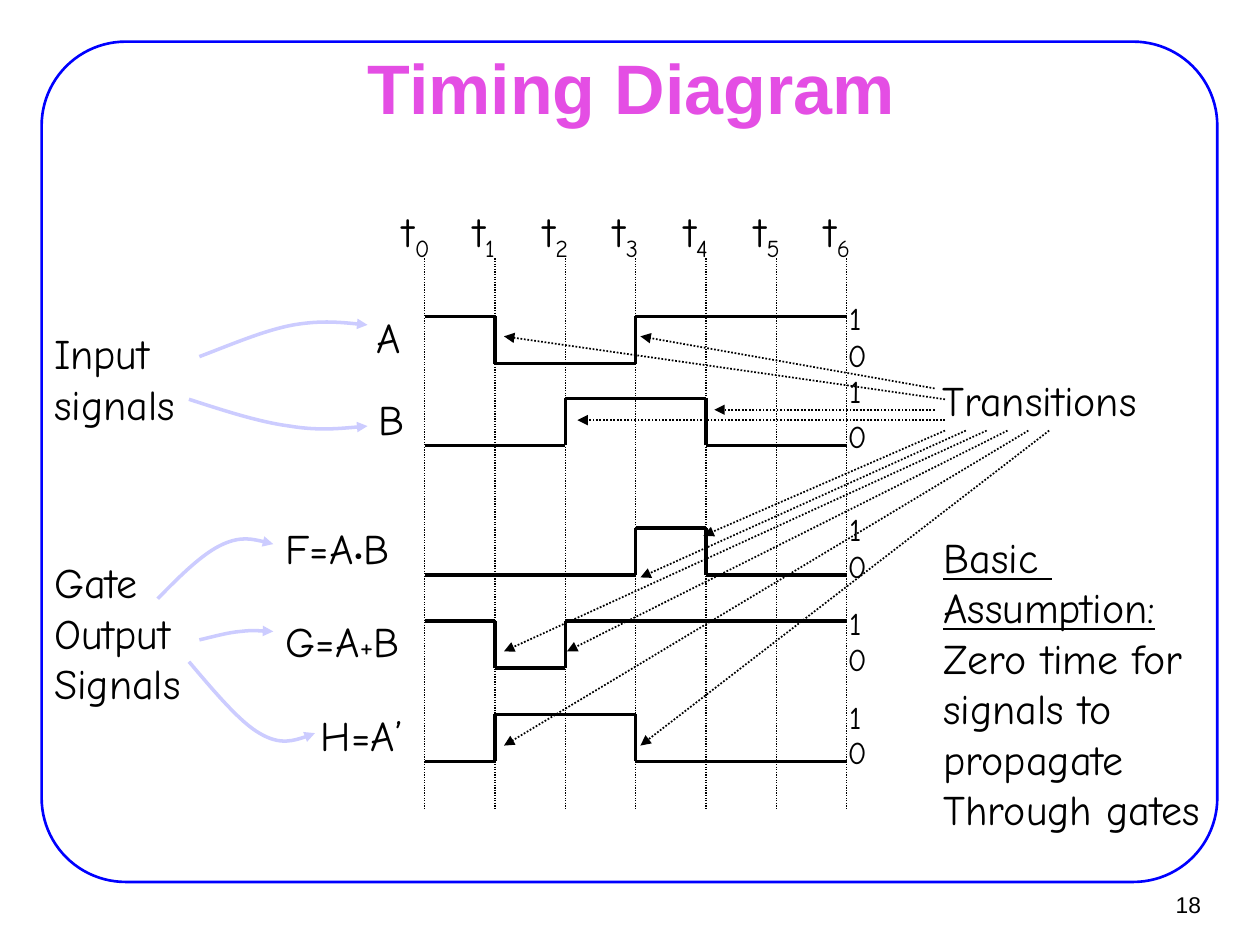
import pptx
import pptx.util
import pptx.dml.color
import pptx.enum.dml
import pptx.enum.shapes
import pptx.enum.text
import pptx.oxml
import pptx.oxml.ns
from lxml import etree

Cm = pptx.util.Cm
Pt = pptx.util.Pt
RGBColor = pptx.dml.color.RGBColor
PP_ALIGN = pptx.enum.text.PP_ALIGN
MSO_ANCHOR = pptx.enum.text.MSO_ANCHOR
qn = pptx.oxml.ns.qn

BLACK = RGBColor(0x00, 0x00, 0x00)
BLUE = RGBColor(0x00, 0x00, 0xFF)
PINK = RGBColor(0xE4, 0x4E, 0xE4)
LAVENDER = RGBColor(0xCC, 0xCC, 0xFF)
HAND = "Comic Neue"
SANS = "Arial"


def style_runs(p, size=24, font=HAND, color=BLACK):
    for r in p.runs:
        r.font.size = Pt(size)
        r.font.name = font
        r.font.color.rgb = color


def add_text(s, x, y, w, h, text, size=24, wrap=False, font=HAND, color=BLACK):
    sp = s.shapes.add_textbox(Cm(x), Cm(y), Cm(w), Cm(h))
    tf = sp.text_frame
    tf.word_wrap = wrap
    tf.text = text
    for p in tf.paragraphs:
        style_runs(p, size, font, color)
    return tf


def add_arrowhead(sp):
    ln = sp.line._get_or_add_ln()
    etree.SubElement(ln, qn("a:tailEnd"), type="triangle")


def add_line(s, x1, y1, x2, y2, width, dotted=False, arrow=False):
    sp = s.shapes.add_connector(pptx.enum.shapes.MSO_CONNECTOR.STRAIGHT,
                                Cm(x1), Cm(y1), Cm(x2), Cm(y2))
    sp.line.color.rgb = BLACK
    sp.line.width = Pt(width)
    if dotted:
        sp.line.dash_style = pptx.enum.dml.MSO_LINE.ROUND_DOT
    if arrow:
        add_arrowhead(sp)
    etree.SubElement(sp._element.spPr, qn("a:effectLst"))


def add_curve(s, x, y, points):
    points = [(Cm(x + px), Cm(y + py)) for px, py in points]
    builder = s.shapes.build_freeform(*points[0])
    builder.add_line_segments(points[1:], close=False)
    sp = builder.convert_to_shape()
    path = sp._element.find(".//" + qn("a:path"))
    segments = path.findall(qn("a:lnTo"))
    for i in range(0, len(segments), 3):
        bezier = etree.SubElement(path, qn("a:cubicBezTo"))
        for segment in segments[i:i + 3]:
            bezier.append(segment[0])
            path.remove(segment)
    sp.fill.background()
    sp.line.color.rgb = LAVENDER
    sp.line.width = Pt(2)
    sp.shadow.inherit = False
    add_arrowhead(sp)


def add_frame(s, x, y, w, h):
    sp = s.shapes.add_shape(pptx.enum.shapes.MSO_SHAPE.ROUNDED_RECTANGLE,
                            Cm(x), Cm(y), Cm(w), Cm(h))
    sp.adjustments[0] = 0.1
    sp.fill.background()
    sp.line.color.rgb = BLUE
    sp.line.width = Pt(1.5)
    sp.shadow.inherit = False
    tf = add_text(s, x + 22.07, y + 16.92, 1.55, 0.94, "18", 13, font=SANS)
    tf.vertical_anchor = MSO_ANCHOR.MIDDLE
    tf.paragraphs[0].alignment = PP_ALIGN.RIGHT


def add_title(s, x, y, w, h):
    tf = add_text(s, x, y, w, h, "Timing Diagram", 40, True, SANS, PINK)
    tf.vertical_anchor = MSO_ANCHOR.MIDDLE
    p = tf.paragraphs[0]
    p.alignment = PP_ALIGN.CENTER
    p.runs[0].font.bold = True


def add_signal(s, x, y, w, swing, bits):
    step = w / len(bits)
    levels = [y if bit == "1" else y + swing for bit in bits]
    for i, level in enumerate(levels):
        left = x + i * step
        add_line(s, left, level, left + step, level, 2)
        if i and level != levels[i - 1]:
            add_line(s, left, y + swing, left, y, 2)


def add_timing_diagram(s, x, y, w, h):
    swing = 0.95
    step = w / 6
    for i in range(7):
        left = x + i * step
        add_line(s, left, y, left, y + h, 0.75, dotted=True)
        p = add_text(s, left - 0.69, y - 1.2, 1.24, 1.27, "t").paragraphs[0]
        p.add_run().text = str(i)
        style_runs(p)
        p.runs[1].font._element.set("baseline", "-25000")
    signals = [
        (["A"], "100111", 1.17, 1.22, 1.14, 0.48),
        (["B"], "001100", 2.82, 1.17, 1.04, 0.66),
        (["F=A", "•", "B"], "000100", 5.43, 3.05, 2.84, 0.48),
        (["G=A", "+", "B"], "101111", 7.31, 3.05, 2.97, 0.46),
        (["H=A’"], "011000", 9.19, 2.34, 2.36, 0.46),
    ]
    for parts, bits, top, indent, width, one_rise in signals:
        high = y + top
        add_signal(s, x, high, w, swing, bits)
        p = add_text(s, x - indent, high - 0.23, width, 1.27, parts[0]).paragraphs[0]
        for part in parts[1:]:
            p.add_run().text = part
        style_runs(p)
        if len(parts) > 1:
            p.runs[1].font.size = Pt(18)
        add_text(s, x + w - 0.2, high - one_rise, 0.79, 1.02, "1", 18)
        add_text(s, x + w - 0.23, high + swing - 0.69, 0.89, 1.02, "0", 18)


def add_signal_group(s, x, y, w, h, text, curves):
    add_text(s, x, y, w, h, text)
    for points in curves:
        add_curve(s, x, y, points)


def add_transitions(s, x, y):
    add_text(s, x + 8.59, y + 0.64, 4.95, 1.27, "Transitions", wrap=True)
    arrows = [
        (8.89, 1.27, 0, 0),
        (8.68, 1.05, 2.75, 0),
        (8.68, 1.48, 4.24, 1.48),
        (8.89, 1.69, 1.48, 1.69),
    ]
    ends = [(4.02, 4.02), (2.75, 4.86), (0, 6.35), (1.27, 6.35), (0, 8.25), (2.75, 8.25)]
    arrows += [(8.89 + 0.42 * i, 1.9, *end) for i, end in enumerate(ends)]
    for x1, y1, x2, y2 in arrows:
        add_line(s, x + x1, y + y1, x + x2, y + y2, 1, dotted=True, arrow=True)


def add_assumption(s, x, y, w, h):
    lines = ["Basic ", "Assumption:", "Zero time for", "signals to",
             "propagate", "Through gates"]
    tf = add_text(s, x, y, w, h, "\n".join(lines), wrap=True)
    for p in tf.paragraphs[:2]:
        p.runs[0].font.underline = True


def main():
    prs = pptx.Presentation()
    prs.slide_width, prs.slide_height = Cm(25.4), Cm(19.05)
    s = prs.slides.add_slide(prs.slide_layouts[6])
    add_frame(s, 0.84, 0.84, 23.7, 16.94)
    add_title(s, 1.93, 1.12, 21.59, 1.24)
    add_timing_diagram(s, 8.56, 5.21, 8.51, 11.1)
    add_signal_group(s, 0.84, 6.48, 3.12, 2.29, "Input\nsignals", [
        [(3.18, 0.71), (3.86, 0.45), (4.52, 0.17), (5.08, 0.07),
         (5.66, -0.03), (6.35, 0.05), (6.57, 0.07)],
        [(2.97, 1.57), (3.68, 1.8), (4.39, 2.03), (5, 2.11),
         (5.59, 2.21), (6.35, 2.13), (6.57, 2.11)],
    ])
    add_signal_group(s, 0.84, 11.1, 3.33, 3.3, "Gate\nOutput\nSignals", [
        [(2.34, 0.97), (2.79, 0.51), (3.25, 0.05), (3.66, -0.13),
         (4.04, -0.3), (4.52, -0.18), (4.67, -0.13)],
        [(2.97, 2.24), (3.48, 2.84), (3.99, 3.45), (4.39, 3.68),
         (4.82, 3.94), (5.36, 3.76), (5.51, 3.68)],
        [(3.18, 1.8), (3.48, 1.73), (3.76, 1.65), (4.01, 1.63),
         (4.27, 1.6), (4.57, 1.63), (4.67, 1.63)],
    ])
    add_assumption(s, 18.77, 10.59, 6.22, 6.35)
    add_transitions(s, 10.16, 6.78)
    prs.save("out.pptx")


if __name__ == "__main__":
    main()
